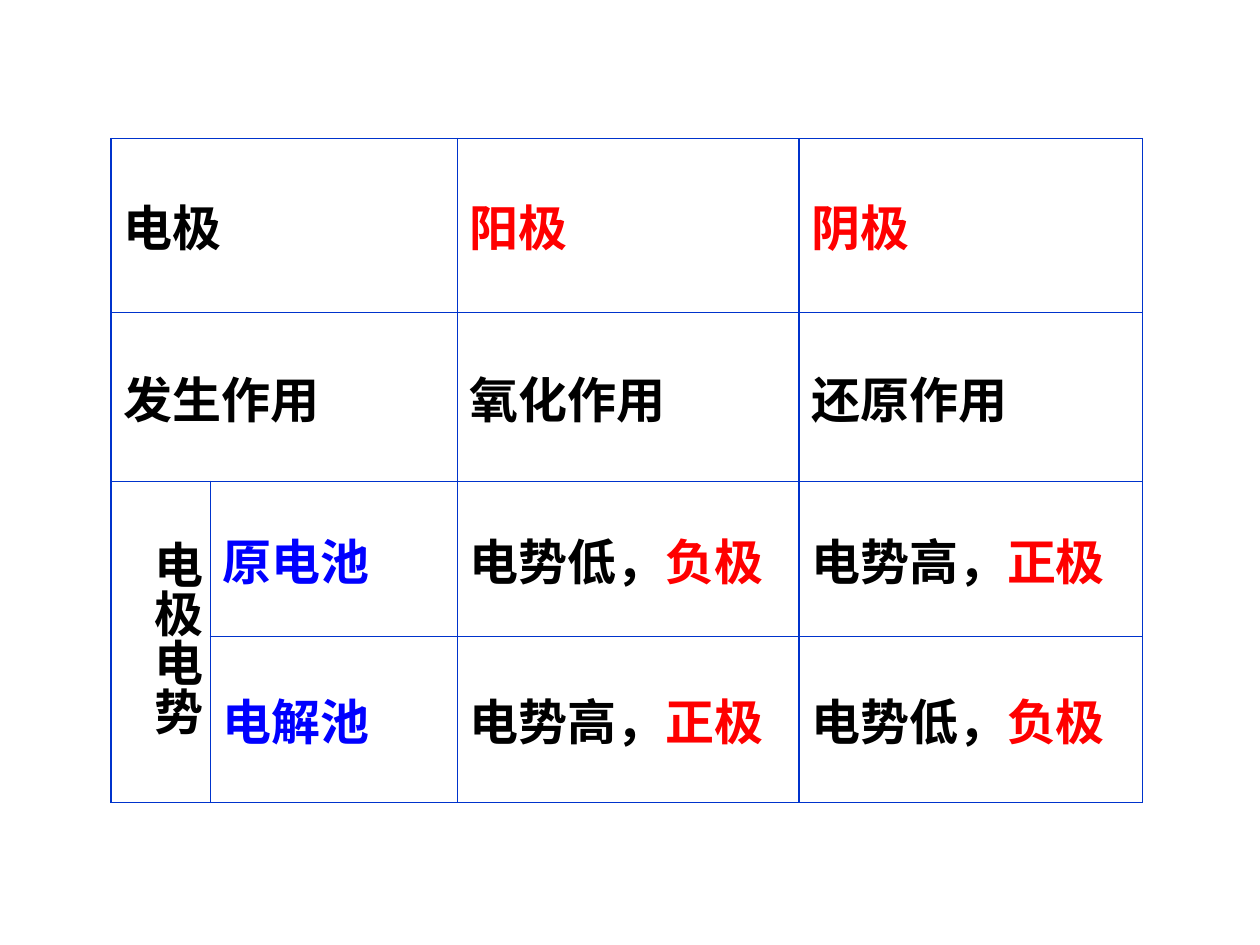
from lxml.etree import SubElement
from pptx import Presentation
from pptx.dml.color import RGBColor
from pptx.enum.text import MSO_ANCHOR as Anchor, MSO_AUTO_SIZE as AutoSize
from pptx.oxml.ns import qn
from pptx.util import Inches, Pt

COLORS = {"black": "000000", "red": "FF0000", "blue": "0000FF",
          "border": "0033CC", "white": "FFFFFF"}


class SlideBuilder:
    size = Pt(28)

    def __init__(self, slide):
        self.slide = slide

    def add_runs(self, paragraph, runs, font="Arial"):
        for text, color in runs:
            run = paragraph.add_run()
            run.text = text
            run.font.name = font
            run.font.size = self.size
            run.font.bold = True
            run.font.color.rgb = RGBColor.from_string(COLORS[color])

    def style_cell(self, cell):
        cell.vertical_anchor = Anchor.MIDDLE
        properties = cell._tc.get_or_add_tcPr()
        for side in ("lnL", "lnR", "lnT", "lnB"):
            line = SubElement(properties, qn(f"a:{side}"), w=str(Pt(1)))
            fill = SubElement(line, qn("a:solidFill"))
            SubElement(fill, qn("a:srgbClr"), val=COLORS["border"])
        cell.fill.solid()
        cell.fill.fore_color.rgb = RGBColor.from_string(COLORS["white"])

    def add_table(self, left, top, widths, heights, rows, merges):
        frame = self.slide.shapes.add_table(
            len(heights), len(widths), Inches(left), Inches(top),
            Inches(sum(widths)), Inches(sum(heights)))
        table = frame.table
        table.first_row = table.horz_banding = False
        for column, width in zip(table.columns, widths):
            column.width = Inches(width)
        for row, height in zip(table.rows, heights):
            row.height = Inches(height)
        for r, row in enumerate(rows):
            for c, runs in enumerate(row):
                cell = table.cell(r, c)
                self.style_cell(cell)
                self.add_runs(cell.text_frame.paragraphs[0], runs)
        for start, end in merges:
            table.cell(*start).merge(table.cell(*end))

    def add_vertical_text(self, left, top, width, height, runs, font):
        box = self.slide.shapes.add_textbox(
            Inches(left), Inches(top), Inches(width), Inches(height))
        frame = box.text_frame
        frame.word_wrap = True
        frame.auto_size = AutoSize.SHAPE_TO_FIT_TEXT
        frame._txBody.bodyPr.set("vert", "eaVert")
        self.add_runs(frame.paragraphs[0], runs, font)


presentation = Presentation()
presentation.slide_width = Inches(10)
presentation.slide_height = Inches(7.5)
builder = SlideBuilder(presentation.slides.add_slide(presentation.slide_layouts[6]))

# Electrode comparison table
low_negative = [("电势低，", "black"), ("负极", "red")]
high_positive = [("电势高，", "black"), ("正极", "red")]
rows = [
    [[("电极", "black")], [], [("阳极", "red")], [("阴极", "red")]],
    [[("发生作用", "black")], [], [("氧化作用", "black")], [("还原作用", "black")]],
    [[], [("原电池", "blue")], low_negative, high_positive],
    [[], [("电解池", "blue")], high_positive, low_negative],
]
builder.add_table(0.88, 1.1, [0.79, 1.96, 2.71, 2.73], [1.38, 1.34, 1.23, 1.32], rows,
                  merges=[((0, 0), (0, 1)), ((1, 0), (1, 1)), ((2, 0), (3, 0))])

# Vertical row heading
builder.add_vertical_text(1.02, 4.19, 0.67, 1.77, [("电极电势", "black")], "Times New Roman")

presentation.save("out.pptx")
